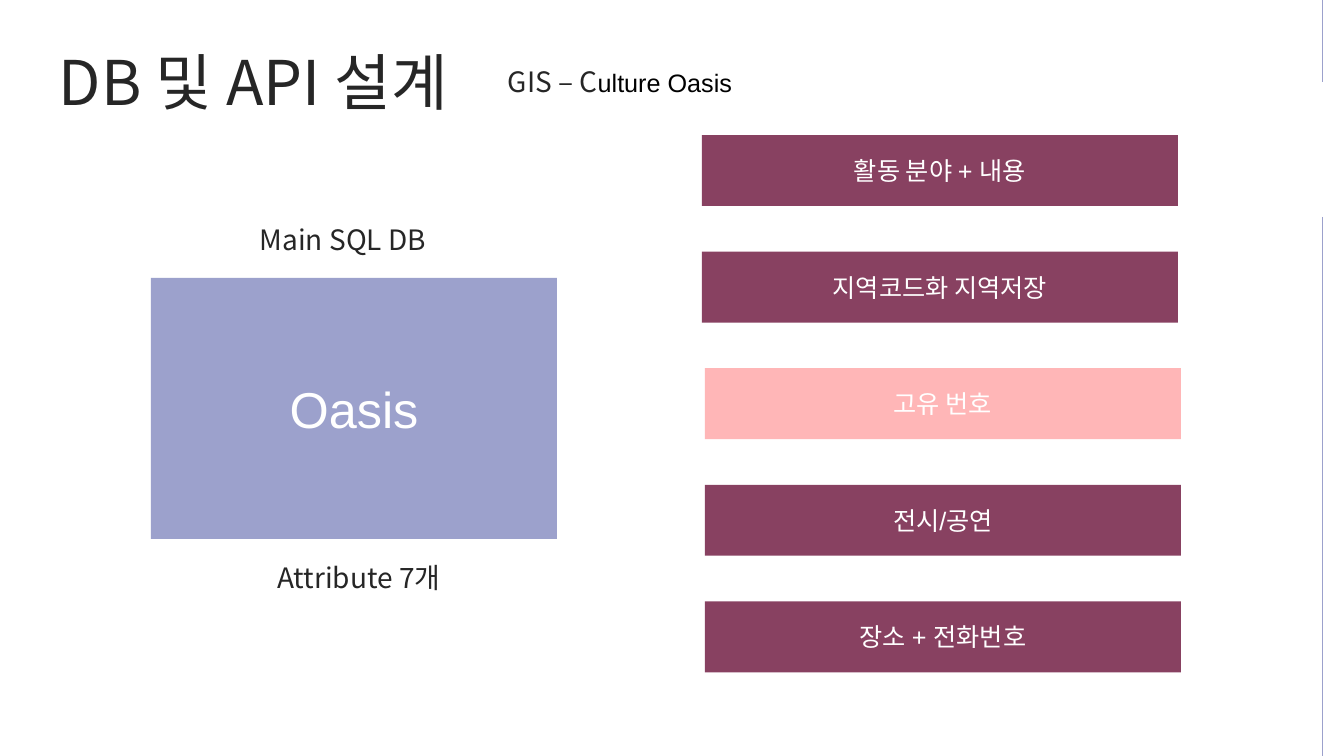
"""Build the DB and API design slide for the culture map."""
from pptx import Presentation
from pptx.dml.color import RGBColor
from pptx.enum.shapes import MSO_CONNECTOR as Connector, MSO_SHAPE as Shape
from pptx.enum.text import MSO_ANCHOR as Anchor, PP_ALIGN as Align
from pptx.oxml.ns import qn
from pptx.util import Emu, Pt
from lxml.etree import SubElement

INK = RGBColor(0x26, 0x26, 0x26)
BLACK = RGBColor(0, 0, 0)
WHITE = RGBColor(255, 255, 255)
LAVENDER = RGBColor(0x9C, 0xA1, 0xCC)
PLUM = RGBColor(0x88, 0x41, 0x61)
PINK = RGBColor(0xFF, 0xB6, 0xB7)
SANS, KOREAN = "Arial", "Noto Sans CJK KR"

TITLE = "DB 및 API 설계"
SUBTITLE = [("GIS – C", 20, KOREAN, INK), ("ulture Oasis", 18, SANS, BLACK)]
CAPTIONS = [("Main SQL DB", 161, 218), ("Attribute 7개", 177, 556)]
DATABASE = "Oasis"
ATTRIBUTES = [
    ("활동 분야 + 내용", 702, PLUM),
    ("지역코드화 지역저장", 702, PLUM),
    ("고유 번호", 705, PINK),
    ("전시/공연", 705, PLUM),
    ("장소 + 전화번호", 705, PLUM),
]
ATTRIBUTE_TOP, ATTRIBUTE_STEP = 135, 116.6
EDGE_X = 1322
EDGE_SPANS = [(217, 756), (0, 82)]


def px(length):
    return Emu(round(length * 914400 / 100.8))


def write(shape, text, size=18, font=SANS, color=WHITE, align=Align.CENTER,
          anchor=Anchor.MIDDLE):
    frame = shape.text_frame
    frame.word_wrap = True
    frame.vertical_anchor = anchor
    paragraph = frame.paragraphs[0]
    paragraph.alignment = align
    runs = [(text, size, font, color)] if isinstance(text, str) else text
    for words, points, face, ink in runs:
        run = paragraph.add_run()
        run.text = words
        run.font.size = Pt(points)
        run.font.name = face
        run.font.color.rgb = ink
        SubElement(run.font._element, qn("a:ea")).set("typeface", KOREAN)


def add_label(text, left, top, width, height, **style):
    box = slide.shapes.add_textbox(*map(px, (left, top, width, height)))
    write(box, text, anchor=Anchor.TOP, **style)


def add_block(text, left, top, width, height, fill, **style):
    block = slide.shapes.add_shape(Shape.RECTANGLE, *map(px, (left, top, width, height)))
    block.shadow.inherit = False
    block.fill.solid()
    block.fill.fore_color.rgb = fill
    block.line.fill.background()
    write(block, text, **style)


deck = Presentation()
deck.slide_width, deck.slide_height = px(1344), px(756)
slide = deck.slides.add_slide(deck.slide_layouts[6])

add_label(TITLE, 49, 39, 415, 85, size=44, font=KOREAN, color=INK, align=Align.LEFT)
for start, end in EDGE_SPANS:
    edge = slide.shapes.add_connector(Connector.STRAIGHT, *map(px, (EDGE_X, start, EDGE_X, end)))
    edge.line.color.rgb = LAVENDER
    edge.line.width = Pt(0.5)
    SubElement(edge._element.spPr, qn("a:effectLst"))

add_label(SUBTITLE, 498, 60, 364, 44, align=Align.LEFT)
for caption, left, top in CAPTIONS:
    add_label(caption, left, top, 364, 44, size=20, font=KOREAN, color=INK)

add_block(DATABASE, 151, 278, 406, 261, LAVENDER, size=36)
for row, (attribute, left, fill) in enumerate(ATTRIBUTES):
    add_block(attribute, left, ATTRIBUTE_TOP + row * ATTRIBUTE_STEP, 476, 71, fill)

deck.save("out.pptx")
